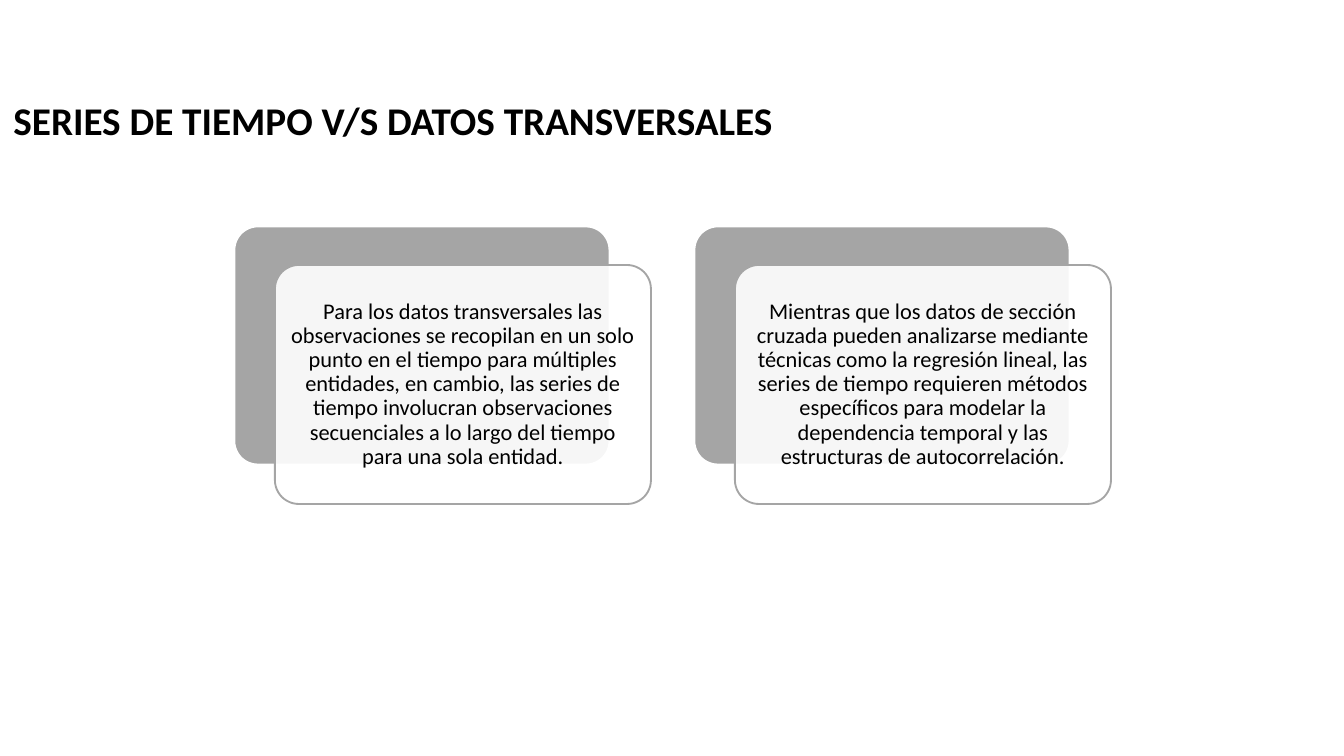
from lxml.etree import SubElement
from pptx import Presentation
from pptx.dml.color import RGBColor
from pptx.enum.shapes import MSO_SHAPE
from pptx.enum.text import MSO_ANCHOR, PP_ALIGN
from pptx.oxml.ns import qn
from pptx.util import Emu, Pt

SCALE = 914400 / 134.4
FONT = "Calibri"
GRAY = "A5A5A5"
WHITE = "FFFFFF"
BLACK = "000000"
NOTES = [
    "Para los datos transversales las observaciones se recopilan en un solo punto "
    "en el tiempo para múltiples entidades, en cambio, las series de tiempo "
    "involucran observaciones secuenciales a lo largo del tiempo para una sola entidad.",
    "Mientras que los datos de sección cruzada pueden analizarse mediante técnicas "
    "como la regresión lineal, las series de tiempo requieren métodos específicos "
    "para modelar la dependencia temporal y las estructuras de autocorrelación.",
]


def px(num):
    return Emu(round(num * SCALE))


def paint(color, code):
    color.rgb = RGBColor.from_string(code)


def write(frame, text, size, align, bold=False):
    frame.word_wrap = True
    frame.text = text
    para = frame.paragraphs[0]
    para.alignment = align
    para.line_spacing = 0.9
    para.space_before = Pt(0)
    font = para.font
    font.name = FONT
    font.size = Pt(size)
    font.bold = bold
    paint(font.color, BLACK)


def add_title(slide, text):
    title = slide.shapes.title
    title.left, title.top = px(0), px(95)
    title.width, title.height = px(1245), px(74)
    frame = title.text_frame
    write(frame, text, 21, PP_ALIGN.JUSTIFY, True)
    frame.vertical_anchor = MSO_ANCHOR.TOP


def add_panel(slide, left, top, fill, line, width):
    panel = slide.shapes.add_shape(
        MSO_SHAPE.ROUNDED_RECTANGLE, px(left), px(top), px(376), px(239))
    panel.adjustments[0] = 0.1
    panel.shadow.inherit = False
    panel.fill.solid()
    paint(panel.fill.fore_color, fill)
    paint(panel.line.color, line)
    panel.line.width = Pt(width)
    return panel


def fade(shape, percent):
    color = shape.fill._xPr.find(qn("a:solidFill"))[0]
    SubElement(color, qn("a:alpha")).set("val", str(percent * 1000))


def add_card(slide, left, top, text):
    add_panel(slide, left, top, GRAY, WHITE, 1.5)
    front = add_panel(slide, left + 41, top + 39, WHITE, GRAY, 1)
    fade(front, 90)
    frame = front.text_frame
    frame.margin_left = frame.margin_right = px(7)
    frame.margin_top = frame.margin_bottom = px(7)
    frame.vertical_anchor = MSO_ANCHOR.MIDDLE
    write(frame, text, 12, PP_ALIGN.CENTER)


def main():
    deck = Presentation()
    deck.slide_width, deck.slide_height = px(1344), px(756)
    slide = deck.slides.add_slide(deck.slide_layouts[5])
    add_title(slide, "SERIES DE TIEMPO V/S DATOS TRANSVERSALES")
    for col, note in enumerate(NOTES):
        add_card(slide, 234 + 460 * col, 226, note)
    deck.save("out.pptx")


if __name__ == "__main__":
    main()
